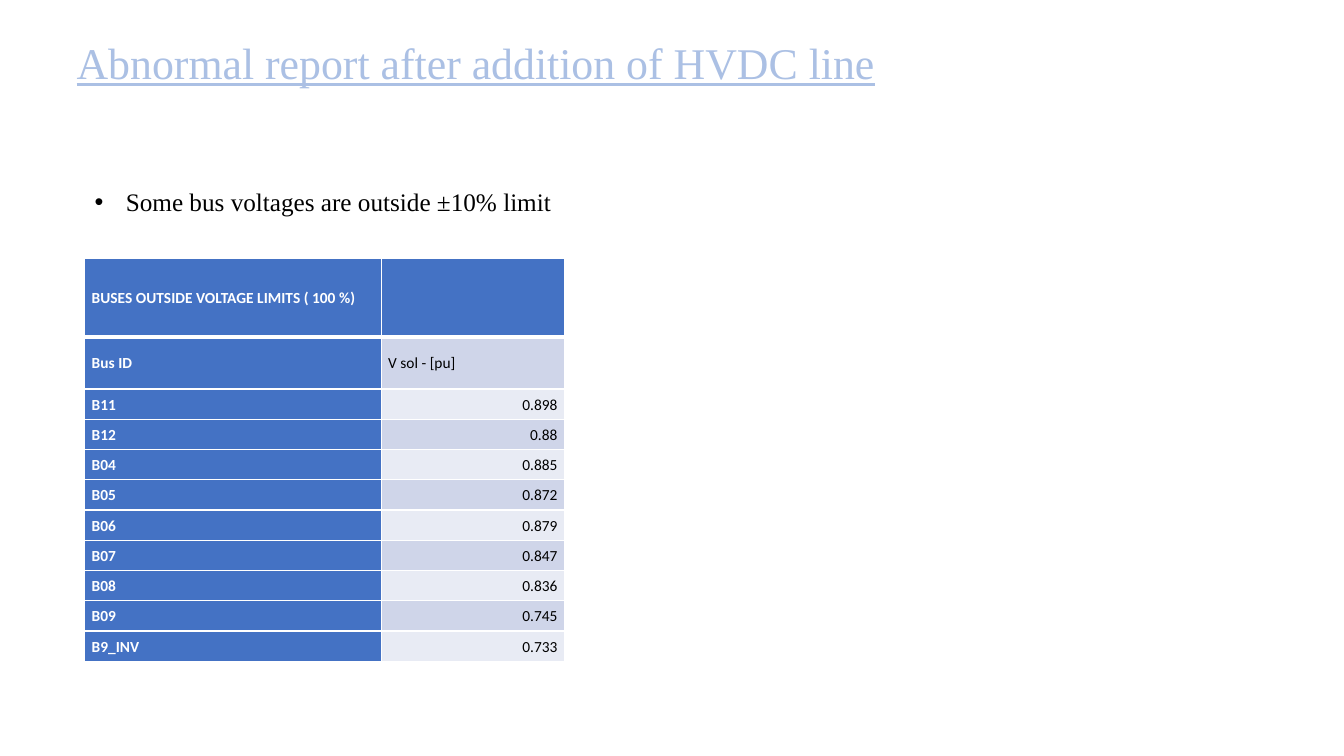
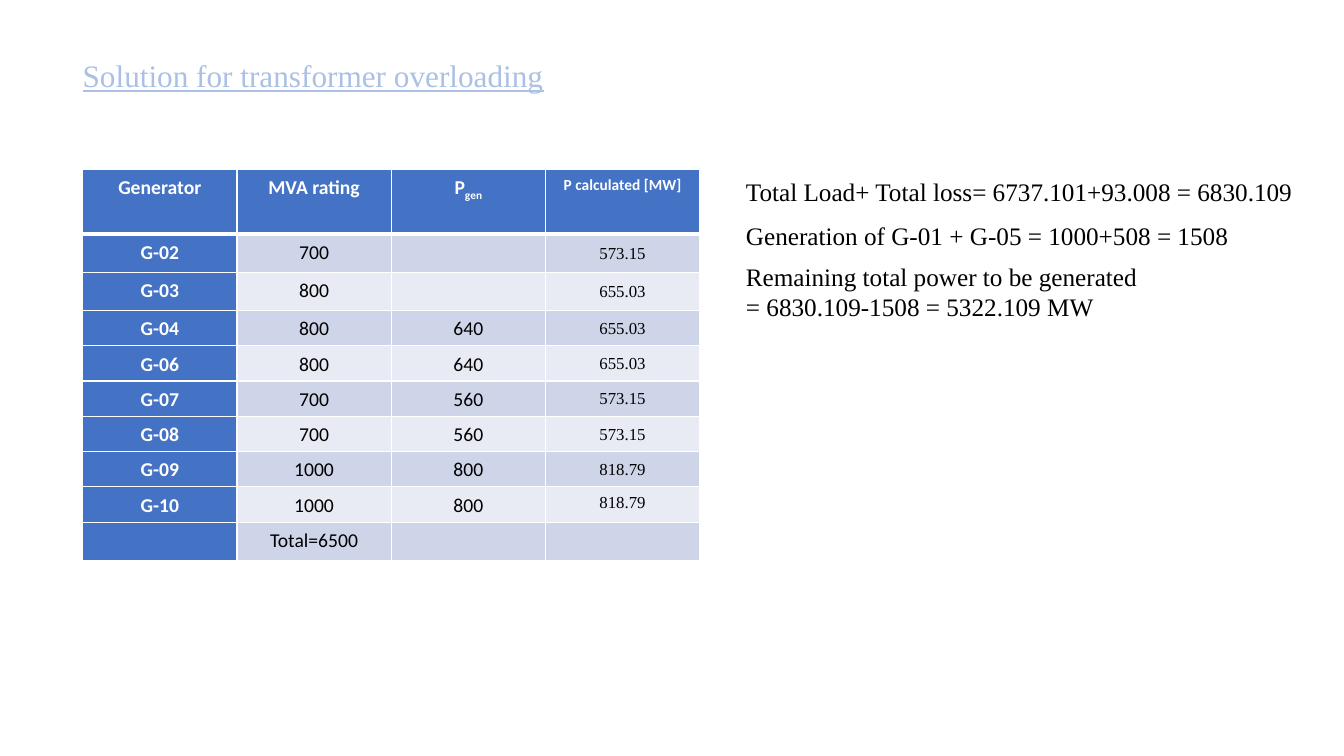
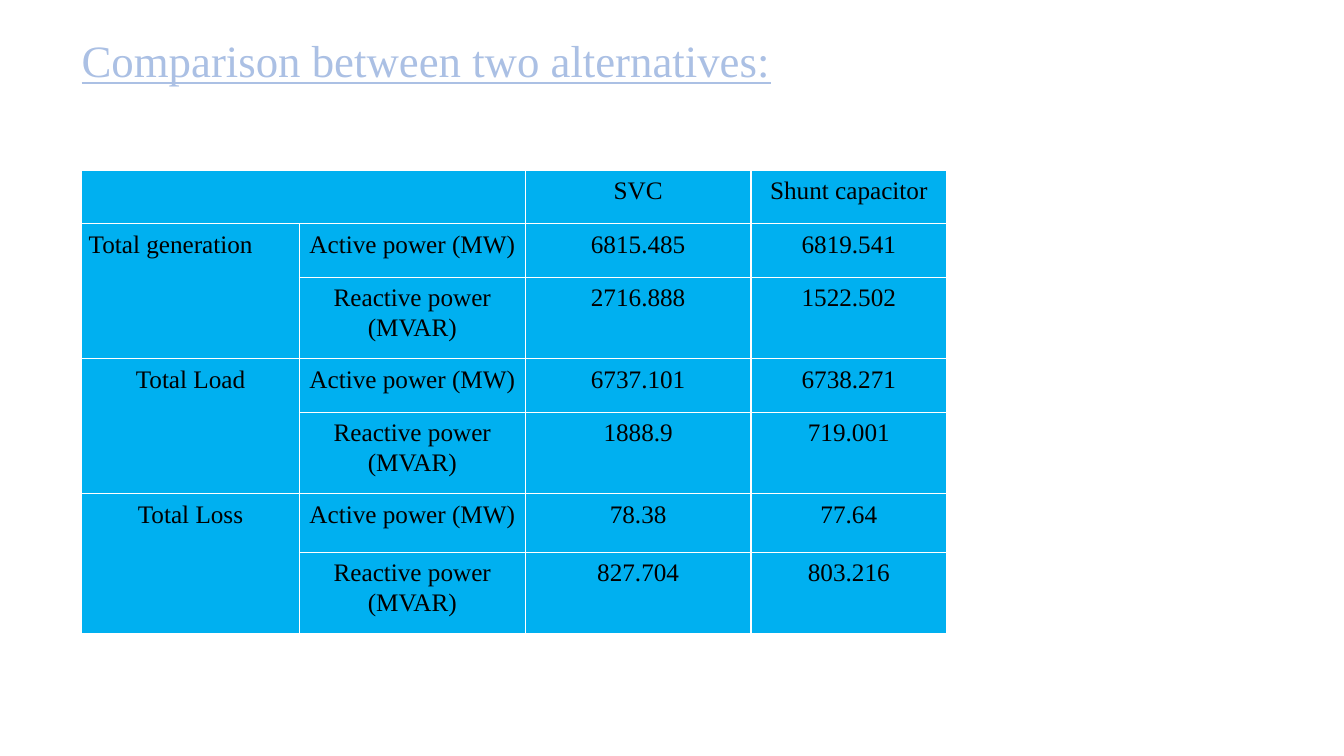
from dataclasses import dataclass, replace
from typing import Callable

import lxml.etree
import pptx
import pptx.dml.color
import pptx.enum.text
import pptx.oxml.ns
import pptx.util

Inches = pptx.util.Inches
Pt = pptx.util.Pt
RGBColor = pptx.dml.color.RGBColor
Align = pptx.enum.text.PP_ALIGN
Anchor = pptx.enum.text.MSO_ANCHOR
qn = pptx.oxml.ns.qn

# Shared look
TITLE_BLUE = RGBColor(0xAB, 0xC0, 0xE4)
HEADER_BLUE = RGBColor(0x44, 0x72, 0xC4)
BAND_DARK = RGBColor(0xCF, 0xD5, 0xE9)
BAND_LIGHT = RGBColor(0xE8, 0xEB, 0xF4)
CYAN = RGBColor(0x00, 0xB0, 0xF0)
WHITE = RGBColor(0xFF, 0xFF, 0xFF)
BLACK = RGBColor(0x00, 0x00, 0x00)
SERIF = "Times New Roman"
SANS = "Calibri"
GRID_PT, HEADER_RULE_PT = 0.96, 3
LINE_SPACING = 1.07


@dataclass(frozen=True)
class Font:
    size: float
    name: str = SERIF
    color: RGBColor = BLACK
    bold: bool = False
    underline: bool = False


@dataclass(frozen=True)
class CellStyle:
    font: Font
    fill: RGBColor
    align: Align = Align.LEFT
    anchor: Anchor = Anchor.TOP


@dataclass(frozen=True)
class Grid:
    left: float
    top: float
    cols: list[float]
    rows: list[float]
    texts: list[list[str]]
    style: Callable[[int, int], CellStyle]
    header_rule: bool = True


BODY = Font(18)


def add_run(p, text: str, font: Font):
    r = p.add_run()
    r.text = text
    r.font.size = Pt(font.size)
    r.font.name = font.name
    r.font.color.rgb = font.color
    r.font.bold = font.bold
    r.font.underline = font.underline
    return r


def add_textbox(s, left: float, top: float, width: float, height: float):
    tf = s.shapes.add_textbox(Inches(left), Inches(top), Inches(width), Inches(height)).text_frame
    tf.word_wrap = True
    return tf


def add_title(s, text: str, left: float, top: float, size: float) -> None:
    tf = add_textbox(s, left, top, 11.3, 0.96)
    tf.margin_left = tf.margin_right = tf.margin_top = tf.margin_bottom = 0
    tf.vertical_anchor = Anchor.MIDDLE
    p = tf.paragraphs[0]
    p.line_spacing = 0.9
    add_run(p, text, Font(size, color=TITLE_BLUE, underline=True))


def add_bullet(p, indent: float) -> None:
    pPr = p._p.get_or_add_pPr()
    pPr.set("marL", str(Inches(indent)))
    pPr.set("indent", str(-Inches(indent)))
    lxml.etree.SubElement(pPr, qn("a:buFont")).set("typeface", "Arial")
    lxml.etree.SubElement(pPr, qn("a:buChar")).set("char", "•")


def set_borders(cell, widths: dict[str, float]) -> None:
    tcPr = cell._tc.get_or_add_tcPr()
    for i, (side, width) in enumerate(widths.items()):
        ln = lxml.etree.Element(qn(f"a:ln{side}"), w=str(Pt(width)))
        fill = lxml.etree.SubElement(ln, qn("a:solidFill"))
        lxml.etree.SubElement(fill, qn("a:srgbClr")).set("val", str(WHITE))
        tcPr.insert(i, ln)


def fill_cell(cell, text: str, style: CellStyle) -> None:
    cell.fill.solid()
    cell.fill.fore_color.rgb = style.fill
    cell.margin_left = cell.margin_right = Inches(0.07)
    cell.margin_top = cell.margin_bottom = Inches(0.05)
    cell.vertical_anchor = style.anchor
    p = cell.text_frame.paragraphs[0]
    p.alignment = style.align
    p.line_spacing = LINE_SPACING
    if text:
        add_run(p, text, style.font)
    else:
        # Keeps an empty cell from stretching its row
        end = lxml.etree.SubElement(p._p, qn("a:endParaRPr"))
        end.set("sz", str(int(style.font.size * 100)))


def add_grid(s, grid: Grid):
    table = s.shapes.add_table(
        len(grid.rows), len(grid.cols), Inches(grid.left), Inches(grid.top),
        Inches(sum(grid.cols)), Inches(sum(grid.rows))).table
    table.first_row = table.horz_banding = False
    for col, width in zip(table.columns, grid.cols):
        col.width = Inches(width)
    for row, height in zip(table.rows, grid.rows):
        row.height = Inches(height)
    for r, texts in enumerate(grid.texts):
        for c, text in enumerate(texts):
            cell = table.cell(r, c)
            fill_cell(cell, text, grid.style(r, c))
            widths = dict.fromkeys("LRTB", GRID_PT)
            if grid.header_rule and r < 2:
                widths["B" if r == 0 else "T"] = HEADER_RULE_PT
            set_borders(cell, widths)
    return table


def band(r: int) -> RGBColor:
    return BAND_DARK if r % 2 else BAND_LIGHT


# Slide 1: bus voltages
def voltage_style(r: int, c: int) -> CellStyle:
    if r == 0 or c == 0:
        return CellStyle(Font(11, SANS, WHITE, True), HEADER_BLUE, anchor=Anchor.MIDDLE)
    align = Align.LEFT if r == 1 else Align.RIGHT
    return CellStyle(Font(11, SANS), band(r), align, Anchor.MIDDLE)


def build_voltages(s) -> None:
    add_title(s, "Abnormal report after addition of HVDC line", 0.76, 0.17, 31.3)
    p = add_textbox(s, 0.84, 1.8, 4.76, 0.4).paragraphs[0]
    add_bullet(p, 0.31)
    add_run(p, "Some bus voltages are outside ±10% limit", BODY)
    buses = [
        ["B11", "0.898"], ["B12", "0.88"], ["B04", "0.885"],
        ["B05", "0.872"], ["B06", "0.879"], ["B07", "0.847"],
        ["B08", "0.836"], ["B09", "0.745"], ["B9_INV", "0.733"],
    ]
    texts = [["BUSES OUTSIDE VOLTAGE LIMITS ( 100 %)", ""], ["Bus ID", "V sol - [pu]"], *buses]
    add_grid(s, Grid(0.84, 2.56, [2.94, 1.82], [0.78, 0.52] + [0.3] * len(buses),
                     texts, voltage_style))


# Slide 2: generator loading
def generator_style(r: int, c: int) -> CellStyle:
    if r == 0 or c == 0:
        size = 11 if c == 3 else 14
        return CellStyle(Font(size, SANS, WHITE, True), HEADER_BLUE, Align.CENTER)
    style = CellStyle(Font(14, SANS), band(r), Align.CENTER)
    if c == 3:
        anchor = Anchor.TOP if r == 8 else Anchor.MIDDLE
        style = replace(style, font=Font(12), anchor=anchor)
    return style


def build_generators(s) -> None:
    add_title(s, "Solution for transformer overloading", 0.82, 0.29, 22.3)
    texts = [
        ["Generator", "MVA rating", "P", "P calculated [MW]"],
        ["G-02", "700", "", "573.15"],
        ["G-03", "800", "", "655.03"],
        ["G-04", "800", "640", "655.03"],
        ["G-06", "800", "640", "655.03"],
        ["G-07", "700", "560", "573.15"],
        ["G-08", "700", "560", "573.15"],
        ["G-09", "1000", "800", "818.79"],
        ["G-10", "1000", "800", "818.79"],
        ["", "Total=6500", "", ""],
    ]
    rows = [0.64, 0.38, 0.38] + [0.35] * 6 + [0.38]
    table = add_grid(s, Grid(0.82, 1.68, [1.53] * 4, rows, texts, generator_style))
    r = add_run(table.cell(0, 2).text_frame.paragraphs[0], "gen", generator_style(0, 2).font)
    r.font._element.set("baseline", "-25000")

    # Power balance
    tf = add_textbox(s, 7.3, 1.68, 5.69, 1.56)
    lines = [
        "Total Load+ Total loss= 6737.101+93.008 = 6830.109",
        "Generation of G-01 + G-05 = 1000+508 = 1508",
        "Remaining total power to be generated",
        "= 6830.109-1508 = 5322.109 MW",
    ]
    for i, line in enumerate(lines):
        p = tf.add_paragraph() if i else tf.paragraphs[0]
        if i < 2:
            p.alignment = Align.JUSTIFY
            p.line_spacing = LINE_SPACING
            p.space_after = Pt(8)
        add_run(p, line, BODY)


# Slide 3: comparison
def comparison_style(r: int, c: int) -> CellStyle:
    align = Align.LEFT if (r, c) == (1, 0) else Align.CENTER
    return CellStyle(BODY, CYAN, align)


def build_comparison(s) -> None:
    add_title(s, "Comparison between two alternatives:", 0.81, 0.15, 32)
    active, reactive = "Active power (MW)", "Reactive power (MVAR)"
    texts = [
        ["", "", "SVC", "Shunt capacitor"],
        ["Total generation", active, "6815.485", "6819.541"],
        ["", reactive, "2716.888", "1522.502"],
        ["Total Load", active, "6737.101", "6738.271"],
        ["", reactive, "1888.9", "719.001"],
        ["Total Loss", active, "78.38", "77.64"],
        ["", reactive, "827.704", "803.216"],
    ]
    rows = [0.53, 0.53, 0.81, 0.53, 0.81, 0.58, 0.81]
    table = add_grid(s, Grid(0.81, 1.69, [2.16, 2.24, 2.24, 1.94], rows, texts,
                             comparison_style, header_rule=False))
    table.cell(0, 0).merge(table.cell(0, 1))
    for r in range(1, len(rows), 2):
        table.cell(r, 0).merge(table.cell(r + 1, 0))


def main() -> None:
    prs = pptx.Presentation()
    prs.slide_width, prs.slide_height = Inches(13.33), Inches(7.5)
    for build in (build_voltages, build_generators, build_comparison):
        build(prs.slides.add_slide(prs.slide_layouts[6]))
    prs.save("out.pptx")


if __name__ == "__main__":
    main()
